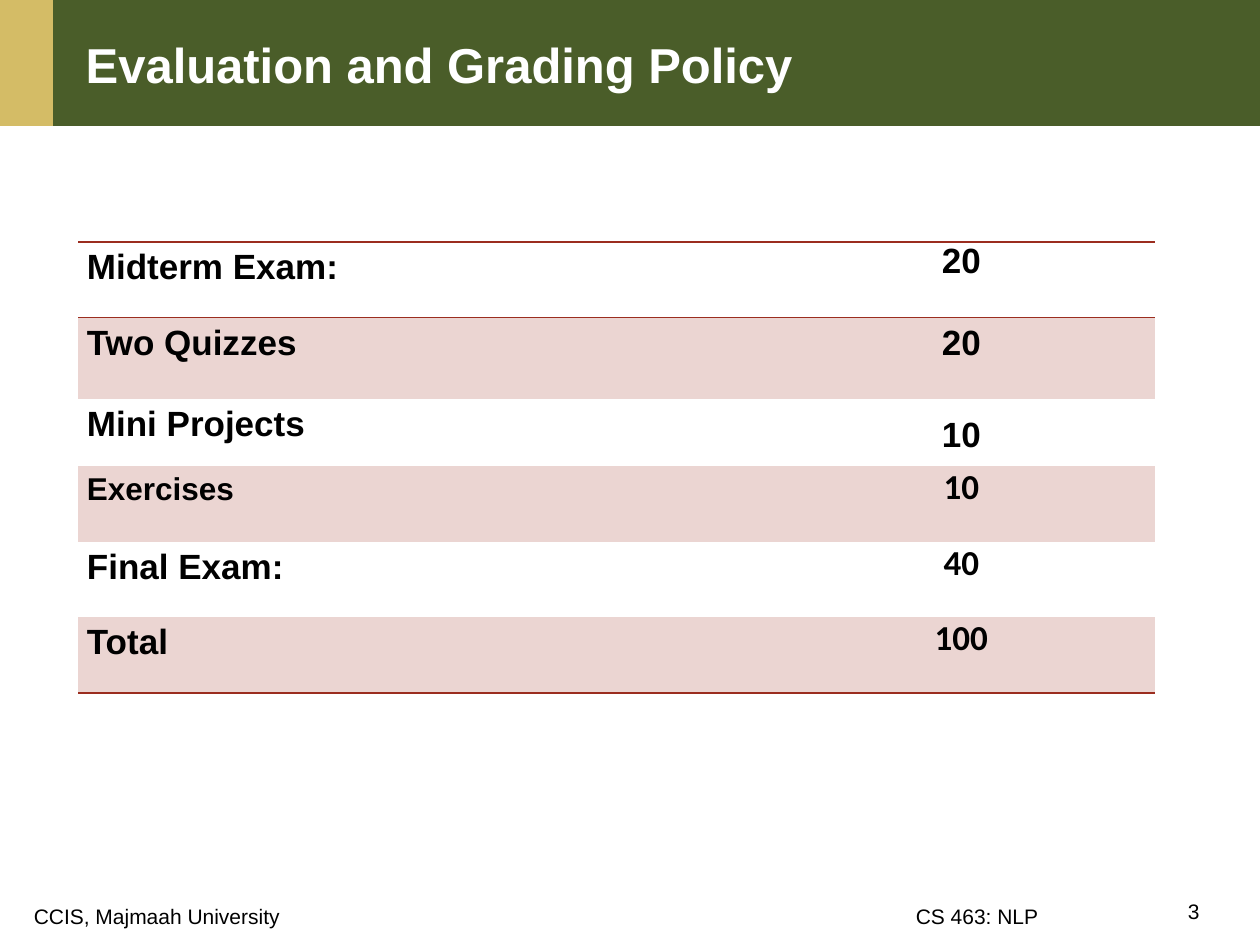
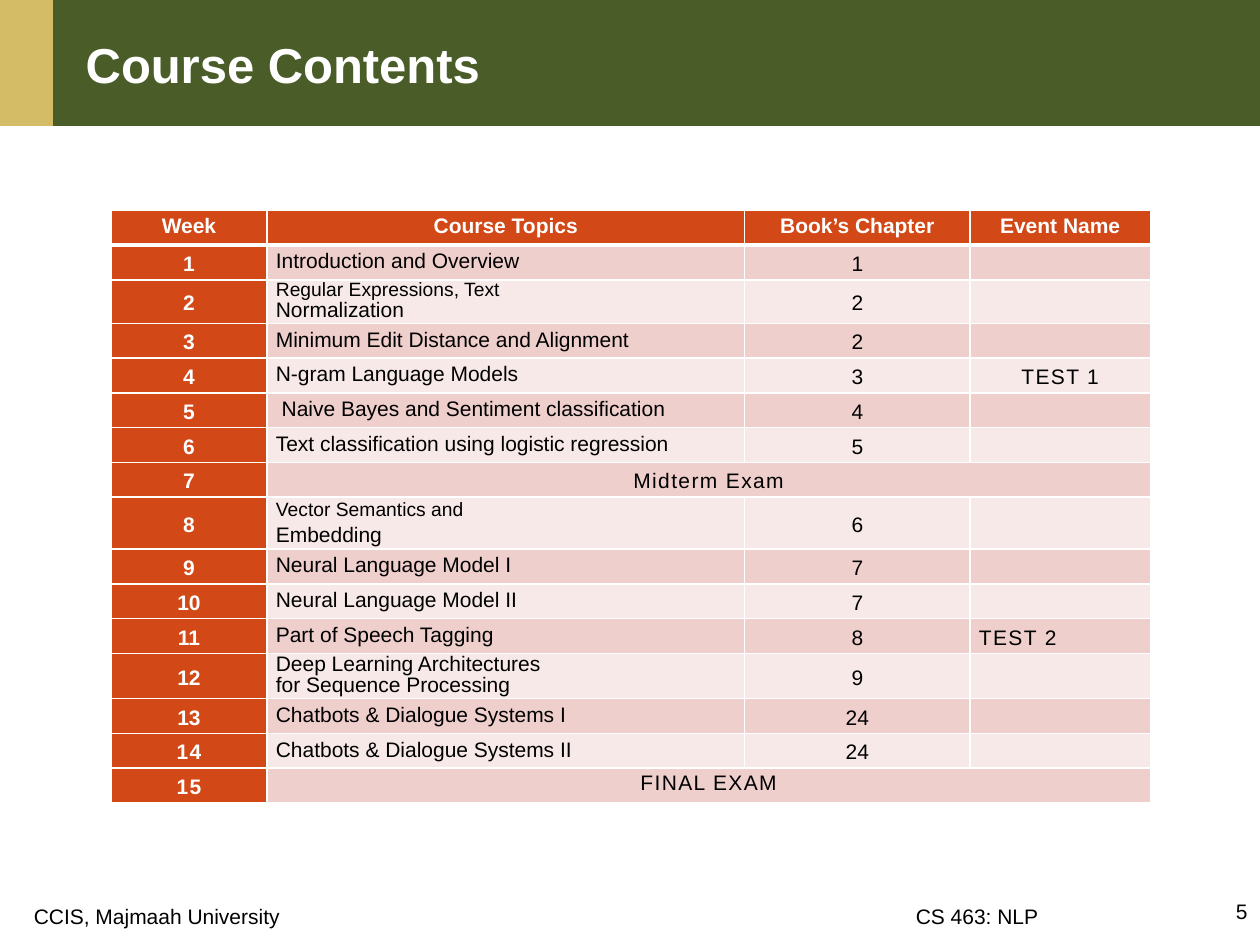
from lxml import etree
from pptx import Presentation, util as u
from pptx.dml.color import RGBColor
from pptx.enum import shapes, text
from pptx.oxml.ns import qn

WIDE, HIGH = u.Inches(10), u.Inches(7.5)
GREEN = RGBColor(0x4A, 0x5D, 0x29)
GOLD = RGBColor(0xD4, 0xBC, 0x66)
WHITE = RGBColor(255, 255, 255)
BLACK = RGBColor(0, 0, 0)
RUST = RGBColor(0x9B, 0x2D, 0x1F)
BLUSH = RGBColor(0xEB, 0xD5, 0xD2)
ORANGE = RGBColor(0xD3, 0x48, 0x17)
ROSE = RGBColor(0xEF, 0xCF, 0xCC)
PALE = RGBColor(0xF7, 0xE9, 0xE8)
FONT = "Arial"
PLAIN = "{2D5ABB26-0587-4C30-8999-92F81FD0307C}"  # table style: no fill, no grid
LEFT, MID, RIGHT, JUST = (text.PP_ALIGN.LEFT, text.PP_ALIGN.CENTER,
                          text.PP_ALIGN.RIGHT, text.PP_ALIGN.JUSTIFY)
TOP, CORE, LOW = (text.MSO_ANCHOR.TOP, text.MSO_ANCHOR.MIDDLE,
                  text.MSO_ANCHOR.BOTTOM)

# label, label size, mark, mark font, mark line spacing, mark anchor
GRADES = [
    ("Midterm Exam:", 20, "20", FONT, 1, TOP),
    ("Two Quizzes", 20, "20", FONT, 1.15, TOP),
    ("Mini Projects", 20, "10", FONT, 1.15, CORE),
    ("Exercises", 18, "10", "Calibri", 1, TOP),
    ("Final Exam:", 20, "40", "Calibri", 1, TOP),
    ("Total", 20, "100", "Calibri", 1, TOP),
]
HEADS = ["Week", "Course Topics", "Book’s Chapter", "Event Name"]
# topic lines, chapter; a row without a chapter spans the other columns
WEEKS = [
    (["Introduction and Overview"], "1"),
    (["Regular Expressions, Text", "Normalization"], "2"),
    (["Minimum Edit Distance and Alignment"], "2"),
    (["N-gram Language Models"], "3"),
    ([" Naive Bayes and Sentiment classification"], "4"),
    (["Text classification using logistic regression"], "5"),
    (["Midterm Exam"], None),
    (["Vector Semantics and", "Embedding"], "6"),
    (["Neural Language Model I"], "7"),
    (["Neural Language Model II"], "7"),
    (["Part of Speech Tagging"], "8"),
    (["Deep Learning Architectures", "for Sequence Processing"], "9"),
    (["Chatbots & Dialogue Systems I"], "24"),
    (["Chatbots & Dialogue Systems II"], "24"),
    (["FINAL EXAM"], None),
]
TESTS = {4: ("TEST 1", MID), 11: ("TEST 2", JUST)}
SMALL = {2, 8}  # weeks whose first topic line is smaller
LOOSE = {6, 7, 14, 15}  # weeks with spaced numbers


def place(item, left, top, width, height):
    """Set an item's box in inches."""
    item.left, item.top = u.Inches(left), u.Inches(top)
    item.width, item.height = u.Inches(width), u.Inches(height)


def write(para, words, size, color=BLACK, bold=False, font=FONT,
          align=LEFT, line=None, before=0, gap=0):
    """Add one run; gap is the letter spacing in points."""
    para.alignment = align
    para.space_before = u.Pt(before)
    if line:
        para.line_spacing = line
    run = para.add_run()
    run.text = words
    look = run.font
    look.size, look.bold, look.name = u.Pt(size), bold, font
    look.color.rgb = color
    if gap:
        run._r.get_or_add_rPr().set("spc", str(round(gap * 100)))


def band(slide, width, color):
    bar = slide.shapes.add_shape(shapes.MSO_SHAPE.RECTANGLE,
                                 0, 0, width, u.Inches(1))
    bar.shadow.inherit = False
    bar.fill.solid()
    bar.fill.fore_color.rgb = color
    bar.line.fill.background()


def note(slide, box, words, anchor=TOP, align=LEFT):
    """Add a small text box and return its paragraph."""
    item = slide.shapes.add_textbox(0, 0, 0, 0)
    place(item, *box)
    frame = item.text_frame
    frame.word_wrap = True
    frame.vertical_anchor = anchor
    para = frame.paragraphs[0]
    write(para, words, 12, align=align)
    return para


def start(deck, title, page, align):
    """Add a slide with its bands, title, footer and page number."""
    slide = deck.slides.add_slide(deck.slide_layouts[5])
    band(slide, WIDE, GREEN)
    band(slide, u.Inches(0.42), GOLD)
    head = slide.shapes.title
    slide.shapes._spTree.append(head._element)
    place(head, 0.58, 0.06, 9.13, 0.9)
    frame = head.text_frame
    frame.word_wrap = True
    frame.auto_size = text.MSO_AUTO_SIZE.NONE
    frame.vertical_anchor = CORE
    write(frame.paragraphs[0], title, 28, WHITE, True)
    foot = note(slide, (0.17, 7, 9.16, 0.42),
                "CCIS, Majmaah University\tCS 463: NLP", LOW)
    stops = etree.SubElement(foot._p.get_or_add_pPr(), qn("a:tabLst"))
    etree.SubElement(stops, qn("a:tab"), pos=str(u.Inches(7)), algn="l")
    note(slide, (9.33, 7.08, 0.67, 0.42), page, align=align)
    return slide


def grid(slide, left, top, cols, rows):
    """Add an unstyled table with the given column and row sizes."""
    item = slide.shapes.add_table(
        len(rows), len(cols), u.Inches(left), u.Inches(top),
        u.Inches(sum(cols)), u.Inches(sum(rows)))
    table = item.table
    table.first_row = table.horz_banding = False
    table._tbl.tblPr.find(qn("a:tableStyleId")).text = PLAIN
    for col, size in zip(table.columns, cols):
        col.width = u.Inches(size)
    for row, size in zip(table.rows, rows):
        row.height = u.Inches(size)
    return table


def edge(cell, color, **sides):
    """Draw cell borders; each side (L, R, T, B in order) has a width."""
    props = cell._tc.get_or_add_tcPr()
    for side, width in sides.items():
        line = etree.SubElement(props, qn(f"a:ln{side}"),
                                w=str(u.Pt(width)))
        fill = etree.SubElement(line, qn("a:solidFill"))
        etree.SubElement(fill, qn("a:srgbClr"), val=str(color))


def dress(cell, fill, anchor=CORE):
    """Set a cell's insets, anchor and fill, and return its paragraph."""
    cell.margin_left = cell.margin_right = u.Inches(0.07)
    cell.margin_top = cell.margin_bottom = 0
    cell.vertical_anchor = anchor
    if fill is None:
        cell.fill.background()
    else:
        cell.fill.solid()
        cell.fill.fore_color.rgb = fill
    para = cell.text_frame.paragraphs[0]
    para._p.get_or_add_endParaRPr().set("sz", "1200")
    return para


def grades(slide):
    table = grid(slide, 0.62, 1.92, [5.47, 3.08],
                 [0.6, 0.65, 0.53, 0.6, 0.6, 0.6])
    last = len(GRADES) - 1
    for i, (label, size, mark, font, line, anchor) in enumerate(GRADES):
        sides = {0: {"T": 1, "B": 1}, last: {"B": 1}}.get(i, {})
        fill = BLUSH if i % 2 else None
        name, score = table.cell(i, 0), table.cell(i, 1)
        for cell in (name, score):
            edge(cell, RUST, **sides)
        write(dress(name, fill, TOP), label, size, bold=True,
              align=LEFT if i == last else JUST, line=1.15)
        write(dress(score, fill, anchor), mark, 20, bold=True,
              font=font, align=MID, line=line)


def topics(cell, fill, week, lines):
    para = dress(cell, fill)
    for i, words in enumerate(lines):
        if i:
            para = cell.text_frame.add_paragraph()
        small = week in SMALL and i == 0
        space = (1, 1.15)[i] if week == 8 else 0.9
        write(para, words, 11 if small else 12, line=space)


def weeks(slide):
    count = len(WEEKS) + 1
    table = grid(slide, 0.88, 1.67, [1.24, 3.79, 1.79, 1.43],
                 [4.41 / count] * count)
    for r in range(count):
        for c in range(len(HEADS)):
            edge(table.cell(r, c), WHITE, L=1, R=1,
                 T=1 if r != 1 else 3, B=1 if r else 3)
    for c, words in enumerate(HEADS):
        write(dress(table.cell(0, c), ORANGE, TOP), words, 12, WHITE, True,
              align=MID, line=1.15, before=3.8)
    for week, (lines, part) in enumerate(WEEKS, 1):
        number, topic, book, event = (table.cell(week, c) for c in range(4))
        fill = ROSE if week % 2 else PALE
        write(dress(number, ORANGE), str(week), 12, WHITE, True, align=MID,
              line=1.15, gap=0.8 if week in LOOSE else 0)
        if part is None:
            for cell in (book, event):
                dress(cell, fill)
            topic.merge(event)
            anchor = TOP if week == len(WEEKS) else CORE
            write(dress(topic, fill, anchor), lines[0], 12, align=MID,
                  line=1.15, gap=0.8)
            continue
        topics(topic, fill, week, lines)
        write(dress(book, fill), part, 12, align=MID, line=1.15, before=3.8)
        para = dress(event, fill)
        if week in TESTS:
            words, align = TESTS[week]
            write(para, words, 12, align=align, line=1.15, gap=0.8)


def main():
    deck = Presentation()
    deck.slide_width, deck.slide_height = WIDE, HIGH
    grades(start(deck, "Evaluation and Grading Policy", "3", LEFT))
    weeks(start(deck, "Course Contents", "5", RIGHT))
    deck.save("out.pptx")


if __name__ == "__main__":
    main()
